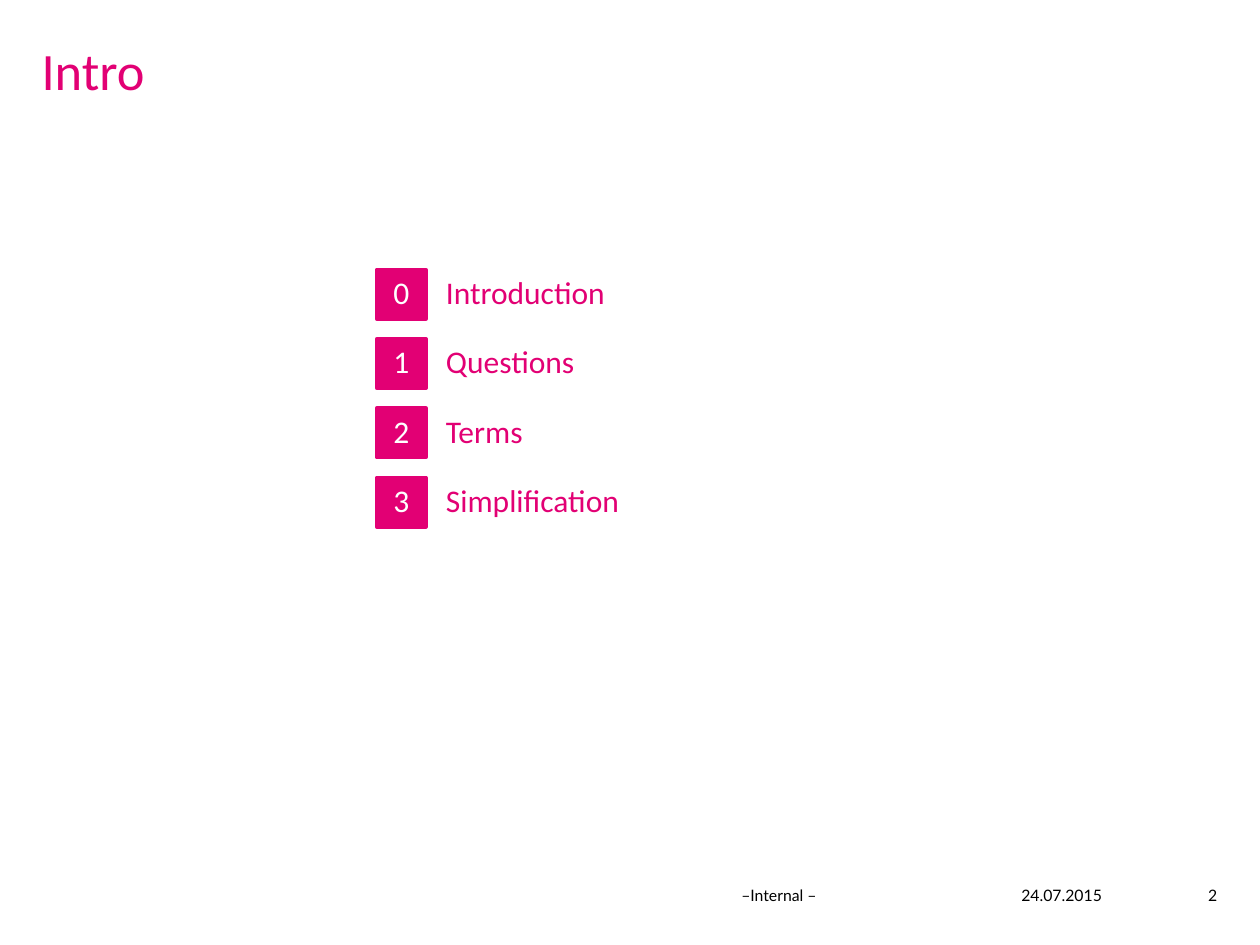
from pptx import Presentation
from pptx.dml.color import RGBColor
from pptx.enum.shapes import MSO_SHAPE as Preset
from pptx.enum.text import MSO_ANCHOR as Anchor, PP_ALIGN as Align
from pptx.util import Inches, Pt

MAGENTA = RGBColor(0xE2, 0x00, 0x74)
WHITE = RGBColor(0xFF, 0xFF, 0xFF)
BLACK = RGBColor(0x00, 0x00, 0x00)

# Content
TITLE = "Intro"
AGENDA = ["Introduction", "Questions", "Terms", "Simplification"]
FOOTER = [  # text, left, width, alignment
    ("–Internal –", 2.8, 3.68, Align.RIGHT),
    ("24.07.2015", 7.44, 1.97, Align.CENTER),
    ("2", 9.34, 0.32, Align.RIGHT),
]

# Agenda grid, in inches
NUMBER_LEFT, LABEL_LEFT, LABEL_WIDTH = 2.99, 3.46, 4.33
AGENDA_TOP, ROW_PITCH, ROW_HEIGHT = 2.14, 0.55, 0.39
AGENDA_INSET = 0.08
FOOTER_TOP, FOOTER_HEIGHT = 7.03, 0.15


def write(shape, text, size, color, font="Calibri", align=Align.LEFT,
          anchor=Anchor.MIDDLE, inset=0, spacing=None, wrap=True):
    frame = shape.text_frame
    frame.word_wrap = wrap
    frame.vertical_anchor = anchor
    frame.margin_left = frame.margin_right = Inches(inset)
    frame.margin_top = frame.margin_bottom = Inches(inset)
    paragraph = frame.paragraphs[0]
    paragraph.text = text
    paragraph.alignment = align
    paragraph.line_spacing = spacing
    paragraph.font.name = font
    paragraph.font.size = Pt(size)
    paragraph.font.color.rgb = color


def add_text(slide, box, text, size, color, **style):
    shape = slide.shapes.add_textbox(*map(Inches, box))
    write(shape, text, size, color, **style)


def add_number(slide, box, text, **style):
    shape = slide.shapes.add_shape(Preset.RECTANGLE, *map(Inches, box))
    shape.shadow.inherit = False
    shape.fill.solid()
    shape.fill.fore_color.rgb = MAGENTA
    shape.line.color.rgb = MAGENTA
    shape.line.width = Pt(2.25)
    write(shape, text, 18, WHITE, align=Align.CENTER, wrap=False, **style)


def main():
    presentation = Presentation()
    presentation.slide_width, presentation.slide_height = Inches(10), Inches(7.5)
    slide = presentation.slides.add_slide(presentation.slide_layouts[6])

    # Title
    add_text(slide, (0.33, 0.36, 9.29, 0.47), TITLE, 30, MAGENTA,
             anchor=Anchor.TOP, spacing=0.9)

    # Footer
    for text, left, width, align in FOOTER:
        add_text(slide, (left, FOOTER_TOP, width, FOOTER_HEIGHT), text, 9, BLACK,
                 font="Lato", align=align)

    # Agenda: numbered square and label in each row
    for row, label in enumerate(AGENDA):
        top = AGENDA_TOP + row * ROW_PITCH
        style = {"inset": AGENDA_INSET, "spacing": 0.9}
        add_number(slide, (NUMBER_LEFT, top, ROW_HEIGHT, ROW_HEIGHT), str(row), **style)
        add_text(slide, (LABEL_LEFT, top, LABEL_WIDTH, ROW_HEIGHT), label, 18,
                 MAGENTA, **style)

    presentation.save("out.pptx")


if __name__ == "__main__":
    main()
